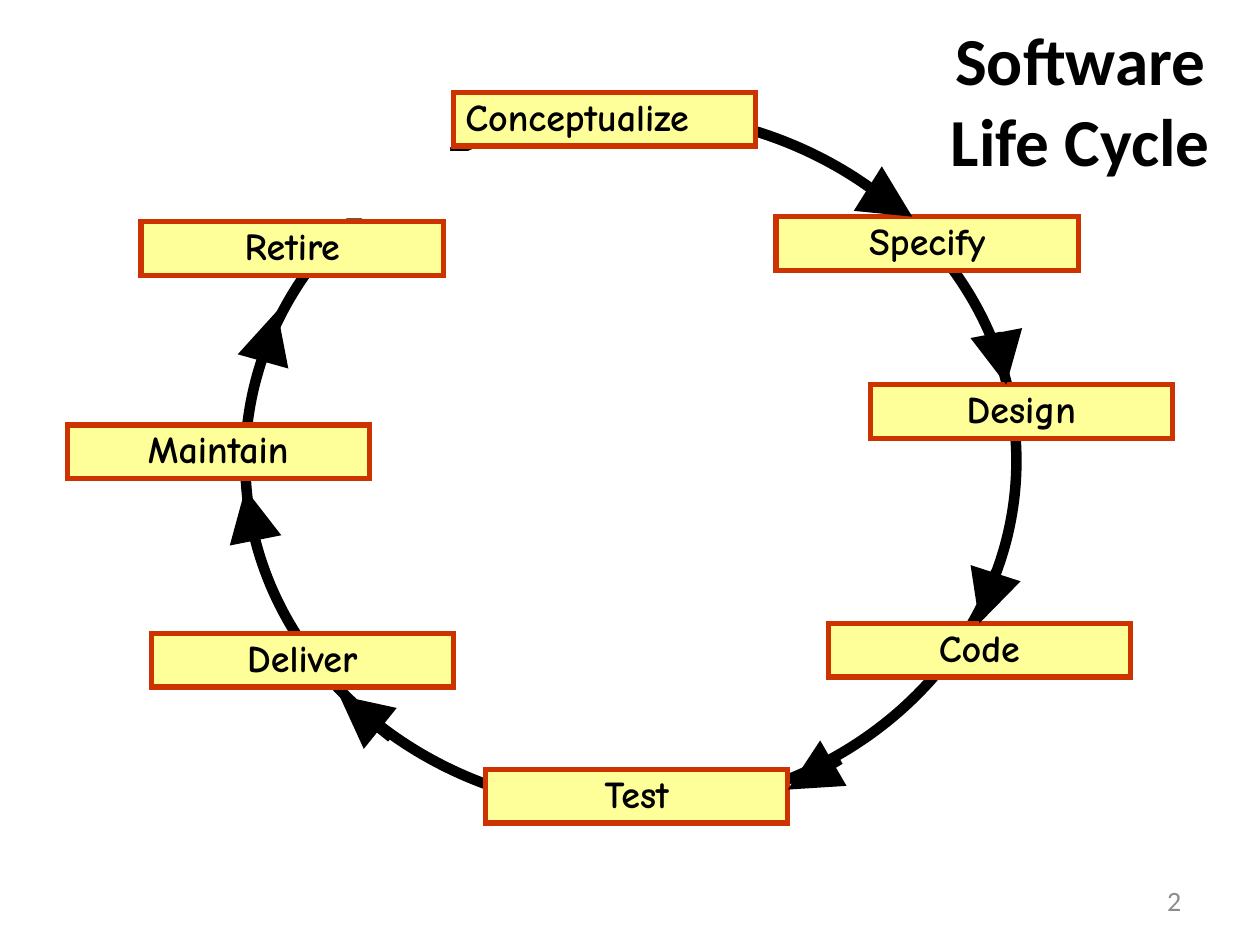
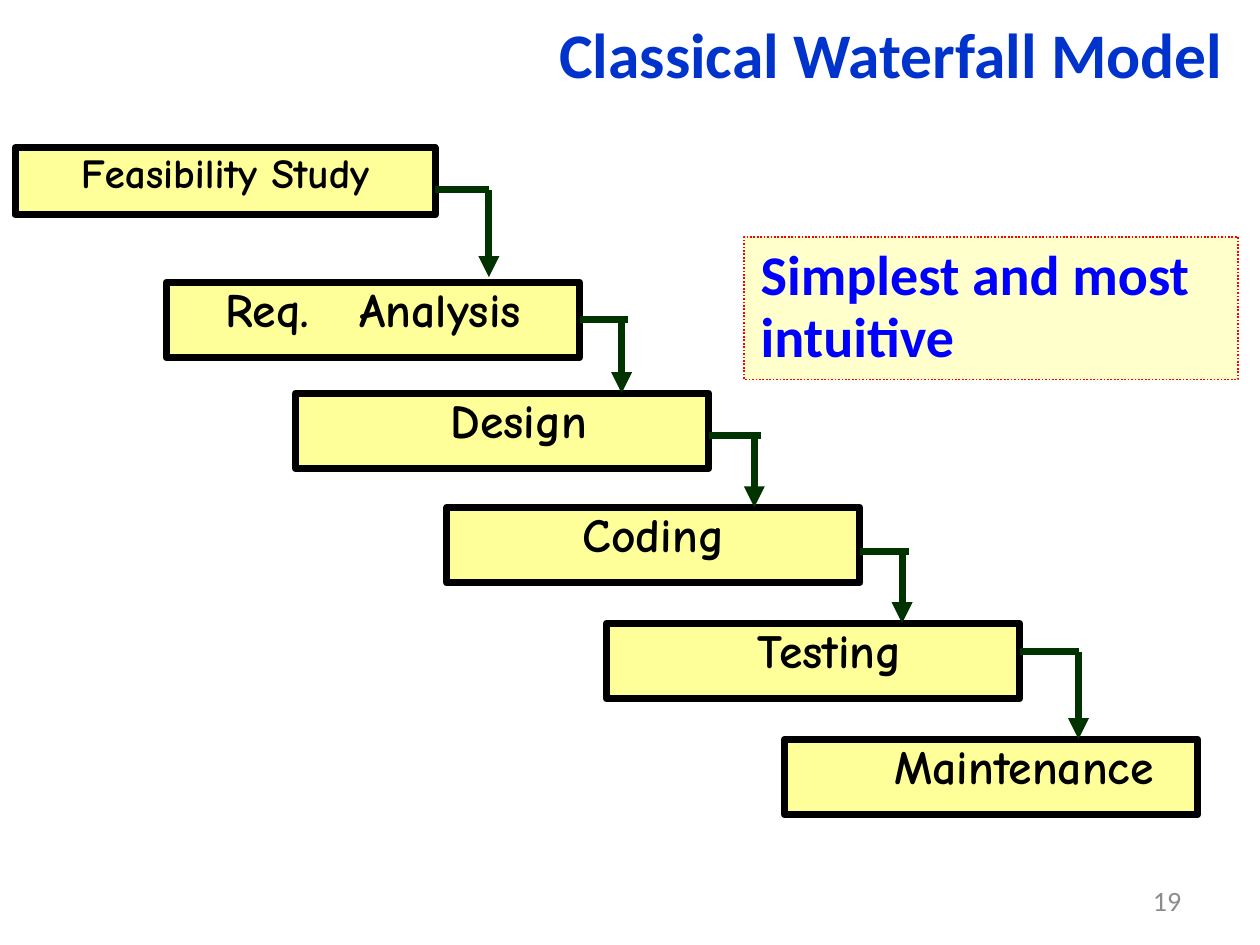
import lxml.etree
import pptx
import pptx.dml.color
import pptx.enum.dml
import pptx.enum.shapes
import pptx.enum.text
import pptx.oxml.ns
import pptx.util

deck = pptx.Presentation()
deck.slide_width = pptx.util.Inches(7.5)
deck.slide_height = deck.slide_width * 3 // 4
COLUMN = deck.slide_width / 75
ROW = deck.slide_height / 56.25

INK, PAPER, NOTE = "000000", "FFFFFF", "FFFF99"
LEFT = pptx.enum.text.PP_ALIGN.LEFT
CENTER = pptx.enum.text.PP_ALIGN.CENTER
RIGHT = pptx.enum.text.PP_ALIGN.RIGHT
TOP = pptx.enum.text.MSO_ANCHOR.TOP
MIDDLE = pptx.enum.text.MSO_ANCHOR.MIDDLE
SHAPES = pptx.enum.shapes.MSO_SHAPE
color = pptx.dml.color.RGBColor.from_string
qn = pptx.oxml.ns.qn


def add_box(page, at, text="", size=12, ink=INK, font="Calibri", bold=True, align=CENTER,
            anchor=TOP, insets=(1, 0.5, 1, 0.5), spacing=1, fill=None, line=None, weight=1,
            preset=SHAPES.RECTANGLE):
    left, top, width, height = at
    box = page.shapes.add_shape(preset, int(left * COLUMN), int(top * ROW),
                                int(width * COLUMN), int(height * ROW))
    box.shadow.inherit = False
    if fill:
        box.fill.solid()
        box.fill.fore_color.rgb = color(fill)
    else:
        box.fill.background()
    if line:
        box.line.color.rgb = color(line)
        box.line.width = pptx.util.Pt(weight)
    else:
        box.line.fill.background()
    if text:
        frame = box.text_frame
        frame.word_wrap = True
        frame.vertical_anchor = anchor
        frame.margin_left, frame.margin_right = [int(inset * COLUMN) for inset in insets[::2]]
        frame.margin_top, frame.margin_bottom = [int(inset * ROW) for inset in insets[1::2]]
        para = frame.paragraphs[0]
        para.alignment = align
        para.line_spacing = spacing
        span = para.add_run()
        span.text = text
        span.font.name = font
        span.font.size = pptx.util.Pt(size)
        span.font.bold = bold
        span.font.color.rgb = color(ink)
    return box


def add_line(page, start, end, ink, weight, head=None):
    line = page.shapes.add_connector(
        pptx.enum.shapes.MSO_CONNECTOR.STRAIGHT, int(start[0] * COLUMN), int(start[1] * ROW),
        int(end[0] * COLUMN), int(end[1] * ROW))
    line.line.color.rgb = color(ink)
    line.line.width = pptx.util.Pt(weight)
    properties = line.element.spPr
    if head:
        lxml.etree.SubElement(properties.find(qn("a:ln")), qn("a:tailEnd"),
                              type="triangle", w=head, len=head)
    lxml.etree.SubElement(properties, qn("a:effectLst"))
    return line


blank = deck.slide_layouts[6]
cycle = deck.slides.add_slide(blank)
waterfall = deck.slides.add_slide(blank)

add_box(cycle, (54.4, 0.8, 19.8, 10.2), "Software Life Cycle", 28.8, anchor=MIDDLE)
add_box(cycle, (14.6, 6.7, 45.9, 41.5), line=INK, weight=4.5, preset=SHAPES.OVAL)

phases = {}
for name, left, top in [
    ("Conceptualize", 27, 5.5),
    ("Specify", 46.2, 12.9),
    ("Design", 51.8, 22.9),
    ("Code", 49.3, 37.1),
    ("Test", 28.9, 45.8),
    ("Maintain", 4, 25.3),
    ("Retire", 8.4, 13.2),
    ("Deliver", 9, 37.7),
]:
    phases[name] = add_box(
        cycle, (left, top, 18, 3.2), name, 16.3, font="Comic Neue",
        align=LEFT if name == "Conceptualize" else CENTER, insets=(0.7, 0.3, 0.7, 0.3),
        spacing=0.93, fill=NOTE, line="CC3300", weight=2.25)
    outline = phases[name].element.spPr.find(qn("a:ln"))
    lxml.etree.SubElement(outline, qn("a:miter"), lim="800000")

for start, end, joined in [
    ((52.4, 11.7), (54.3, 12.9), None),
    ((59.3, 19.8), (59.9, 22.9), None),
    ((59.3, 34), (58, 37.1), "Code"),
    ((50, 45.2), (46.9, 47), None),
    ((23.3, 43.9), (20.2, 41.4), None),
    ((15.2, 32.1), (14.6, 29.1), None),
    ((15.8, 21), (16.5, 18.5), None),
]:
    arrow = add_line(cycle, start, end, INK, 4.5, head="lg")
    if joined:
        arrow.end_connect(phases[joined], 0)

for gap in [(10, 4, 16.8, 9), (26.4, 9, 2.4, 1.1)]:
    add_box(cycle, gap, fill=PAPER)

add_box(waterfall, (32.8, -2.1, 40.5, 11), "Classical Waterfall Model", 27.2, "0033CC",
        anchor=MIDDLE, insets=(0.1, 0.4, 0.1, 0.4), spacing=0.94)

steps = [
    ("Feasibility Study", (0.9, 8.8, 25, 4), 17.7, 0.1),
    ("Req.\tAnalysis", (9.9, 16.8, 24.6, 4.5), 20.4, 3.5),
    ("Design", (17.6, 23.4, 24.6, 4.5), 20.4, 2.1),
    ("Coding", (26.6, 30.2, 24.6, 4.5), 20.4, 0.1),
    ("Testing", (36.1, 37.1, 24.6, 4.5), 20.4, 2.1),
    ("Maintenance", (46.7, 44, 24.6, 4.5), 20.4, 4),
]
boxes = []
for name, at, size, indent in steps:
    box = add_box(waterfall, at, name, size, font="Comic Neue",
                  align=LEFT if "\t" in name else CENTER, insets=(indent, 0.4, 0.1, 0.4),
                  spacing=0.85, fill=NOTE, line=INK, weight=3)
    if "\t" in name:
        properties = box.text_frame.paragraphs[0]._p.get_or_add_pPr()
        stops = lxml.etree.SubElement(properties, qn("a:tabLst"))
        lxml.etree.SubElement(stops, qn("a:tab"), pos=str(int(8 * COLUMN)), algn="l")
    boxes.append(box)

elbows = [
    (29.1, 11.3, 0, 16.5),
    (37, 19.05, 0.4, 23.4),
    (44.9, 25.95, 0.4, 30.2),
    (53.7, 32.8, 0.4, 37.1),
    (64.2, 38.8, 0, 44),
]
for box, (name, at, size, indent), (elbow, level, overshoot, tip) in zip(boxes, steps, elbows):
    left, top, width, height = at
    branch = add_line(waterfall, (left + width, level), (elbow + overshoot, level), "003300", 3)
    if abs(level - top - height / 2) < 0.1:
        branch.begin_connect(box, 3)
    add_line(waterfall, (elbow, level), (elbow, tip), "003300", 3, head="med")

remark = add_box(waterfall, (44.3, 14.1, 29.4, 8.5), "Simplest and most intuitive", 24, "0000FF",
                 align=LEFT, spacing=0.93, fill="FFFFCC", line="FF0000", weight=0.75)
remark.line.dash_style = pptx.enum.dml.MSO_LINE.ROUND_DOT

for page, number in [(cycle, "2"), (waterfall, "19")]:
    add_box(page, (53.8, 52.1, 17.5, 3), number, 12, "8C8C8C", bold=False,
            align=RIGHT, anchor=MIDDLE)

deck.save("out.pptx")
